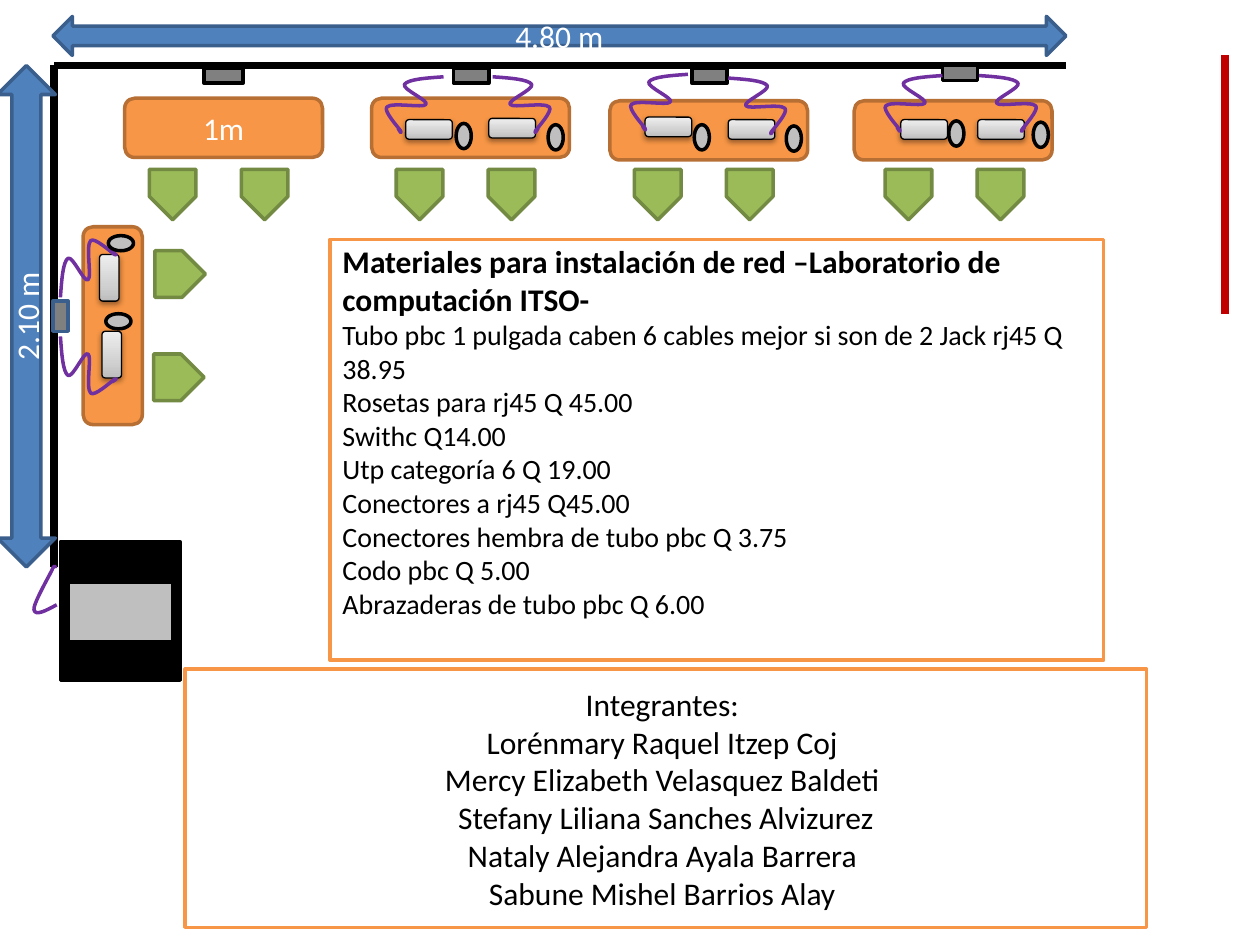
import copy
from dataclasses import dataclass

import lxml.etree
import pptx
import pptx.dml.color
import pptx.enum.shapes
import pptx.enum.text
import pptx.oxml
import pptx.oxml.ns
import pptx.util

Inches = pptx.util.Inches
Pt = pptx.util.Pt
SHAPES = pptx.enum.shapes.MSO_SHAPE
ALIGN = pptx.enum.text.PP_ALIGN
qn = pptx.oxml.ns.qn

COLORS = {
    "black": "000000", "white": "FFFFFF", "red": "C00000",
    "gray": "808080", "silver": "BFBFBF", "purple": "7030A0",
    "orange": "F79646", "brown": "B76F34", "green": "9BBB59",
    "olive": "738A42", "blue": "4F81BD", "navy": "3A5F8C",
}
KEYBOARD_STOPS = [(0, "BDBDBD"), (0.35, "D1D1D1"), (1, "EEEEEE")]
FONT = "Calibri"
DESK_LENGTH, DESK_DEPTH = 1.57, 0.47
CABLE = [
    (0, 0), (0.14, 0.01), (0.28, 0.02), (0.31, 0.06),
    (0.33, 0.1), (0.11, 0.19), (0.14, 0.22),
    (0.16, 0.25), (0.41, 0.2), (0.45, 0.24),
    (0.48, 0.27), (0.36, 0.4), (0.34, 0.43),
    (0.33, 0.46), (0.35, 0.43), (0.36, 0.41),
]
CABINET_CABLE = [
    (-0.03, 0.5), (-0.12, 0.55), (-0.2, 0.59), (-0.21, 0.54),
    (-0.22, 0.5), (-0.1, 0.29), (-0.07, 0.23),
    (-0.05, 0.18), (-0.04, 0.19), (-0.04, 0.21),
]


@dataclass
class Station:
    left: float
    top: float
    outlet: tuple
    chairs: tuple
    keyboards: tuple = ()
    mice: tuple = ()
    cables: tuple = ()
    label: str = ""


STATIONS = [
    Station(0.99, 0.78, (0.63, -0.24, 0.31), ((0.18, 0.58), (0.91, 0.58)), label="1m"),
    Station(2.95, 0.78, (0.65, -0.24, 0.28), ((0.18, 0.58), (0.91, 0.58)),
            ((0.27, 0.17), (0.93, 0.16)), ((0.67, 0.2), (1.4, 0.21)),
            ((0.57, -0.17), (0.96, -0.17))),
    Station(4.84, 0.8, (0.65, -0.26, 0.28), ((0.18, 0.56), (0.91, 0.56)),
            ((0.28, 0.13), (0.94, 0.15)), ((0.67, 0.19), (1.4, 0.2)),
            ((0.62, -0.21), (0.94, -0.18))),
    Station(6.78, 0.8, (0.7, -0.28, 0.28), ((0.23, 0.56), (0.96, 0.56)),
            ((0.37, 0.15), (0.98, 0.15)), ((0.75, 0.16), (1.42, 0.17)),
            ((0.7, -0.2), (0.99, -0.2))),
]
SIDE_STATION = Station(
    0.66, 1.8, (-0.24, 0.59, 0.12), ((0.57, 0.19), (0.56, 1.01)),
    ((0.13, 0.22), (0.15, 0.83)), ((0.24, 0.03), (0.22, 0.65)),
    ((-0.18, 0.56), (-0.18, 0.87)))

MATERIALS = [
    "Materiales para instalación de red –Laboratorio de computación ITSO-",
    "Tubo pbc 1 pulgada caben 6 cables mejor si son de 2 Jack rj45 Q 38.95",
    "Rosetas para rj45 Q 45.00",
    "Swithc Q14.00",
    "Utp categoría 6 Q 19.00",
    "Conectores a rj45 Q45.00",
    "Conectores hembra de tubo pbc Q 3.75",
    "Codo pbc Q 5.00",
    "Abrazaderas de tubo pbc Q 6.00",
]
MEMBERS = [
    "Integrantes: ",
    "Lorénmary Raquel Itzep Coj ",
    "Mercy Elizabeth Velasquez Baldeti ",
    "Stefany Liliana Sanches Alvizurez",
    "Nataly Alejandra Ayala Barrera ",
    "Sabune Mishel Barrios Alay ",
]


def rgb(name):
    return pptx.dml.color.RGBColor.from_string(COLORS.get(name, name))


def add_box(slide, kind, left, top, width, height, fill, line, weight=2, rotation=0):
    shape = slide.shapes.add_shape(
        kind, Inches(left), Inches(top), Inches(width), Inches(height))
    shape.rotation = rotation
    shape.shadow.inherit = False
    shape.fill.solid()
    shape.fill.fore_color.rgb = rgb(fill)
    shape.line.color.rgb = rgb(line)
    shape.line.width = Pt(weight)
    return shape


def write_lines(shape, lines, color, alignment=ALIGN.CENTER, sizes=(18, 18), bold_first=False):
    frame = shape.text_frame
    frame.word_wrap = True
    frame.vertical_anchor = pptx.enum.text.MSO_ANCHOR.MIDDLE
    for index, text in enumerate(lines):
        paragraph = frame.add_paragraph() if index else frame.paragraphs[0]
        paragraph.alignment = alignment
        run = paragraph.add_run()
        run.text = text
        run.font.name = FONT
        run.font.size = Pt(sizes[min(index, 1)])
        run.font.bold = bold_first and index == 0
        run.font.color.rgb = rgb(color)


def add_wall(slide, start, end, color):
    wall = slide.shapes.add_connector(
        pptx.enum.shapes.MSO_CONNECTOR.STRAIGHT, *map(Inches, start + end))
    wall.line.color.rgb = rgb(color)
    wall.line.width = Pt(4.5)
    lxml.etree.SubElement(wall._element.spPr, qn("a:effectLst"))


def add_cable(slide, points):
    points = [(Inches(x), Inches(y)) for x, y in points]
    builder = slide.shapes.build_freeform(*points[0])
    builder.add_line_segments(points[1:], close=False)
    cable = builder.convert_to_shape()
    segments = list(cable._element.iter(qn("a:lnTo")))
    for first in range(0, len(segments), 3):
        group = segments[first:first + 3]
        group[0].addprevious(curve := pptx.oxml.parse_xml(
            '<a:cubicBezTo xmlns:a="http://schemas.openxmlformats.org/drawingml/2006/main"/>'))
        for segment in group:
            curve.append(segment[0])
            segment.getparent().remove(segment)
    cable.shadow.inherit = False
    cable.fill.background()
    cable.line.color.rgb = rgb("purple")
    cable.line.width = Pt(2)


def add_keyboard(slide, left, top, width, height):
    keyboard = add_box(slide, SHAPES.ROUNDED_RECTANGLE, left, top, width, height,
                       "silver", "black", 0.75)
    keyboard.fill.gradient()
    keyboard.fill.gradient_angle = 90
    stop_list = keyboard._element.spPr.find(".//" + qn("a:gsLst"))
    stop_list.append(copy.deepcopy(stop_list[0]))
    for stop, (position, color) in zip(keyboard.fill.gradient_stops, KEYBOARD_STOPS):
        stop.position = position
        stop.color.rgb = rgb(color)
    shadow = lxml.etree.SubElement(
        keyboard._element.spPr.find(qn("a:effectLst")), qn("a:outerShdw"),
        blurRad=str(Pt(3.1)), dist=str(Pt(1.6)), dir="5400000", rotWithShape="0")
    color = lxml.etree.SubElement(shadow, qn("a:srgbClr"), val=COLORS["black"])
    lxml.etree.SubElement(color, qn("a:alpha"), val="38000")


def add_station(slide, station, upright=False):
    def place(offset):
        return station.left + offset[0], station.top + offset[1]

    def turn(width, height):
        return (height, width) if upright else (width, height)

    outlet_x, outlet_y, outlet_width = station.outlet
    add_box(slide, SHAPES.RECTANGLE, *place((outlet_x, outlet_y)), outlet_width,
            0.24 if upright else 0.12, "gray", "navy" if upright else "black")
    desk = add_box(slide, SHAPES.ROUNDED_RECTANGLE, station.left, station.top,
                   *turn(DESK_LENGTH, DESK_DEPTH), "orange", "brown")
    if station.label:
        write_lines(desk, [station.label], "white")
    for chair in station.chairs:
        add_box(slide, SHAPES.PENTAGON, *place(chair), 0.4, 0.37, "green", "olive",
                rotation=0 if upright else 90)
    for keyboard in station.keyboards:
        add_keyboard(slide, *place(keyboard), *turn(0.37, 0.155))
    for cable, side in zip(station.cables, (-1, 1)):
        x, y = place(cable)
        add_cable(slide, [(x + down, y + side * along) if upright
                          else (x + side * along, y + down) for along, down in CABLE])
    for mouse in station.mice:
        add_box(slide, SHAPES.OVAL, *place(mouse), 0.12, 0.2, "silver", "black",
                rotation=270 if upright else 0)


def add_dimension(slide, left, top, width, height, label, rotation=0):
    arrow = add_box(slide, SHAPES.LEFT_RIGHT_ARROW, left, top, width, height,
                    "blue", "navy", rotation=rotation)
    write_lines(arrow, [label], "white")


def add_cabinet(slide, left, top, width, height):
    add_box(slide, SHAPES.RECTANGLE, left, top, width, height, "black", "black")
    add_box(slide, SHAPES.RECTANGLE, left + 0.06, top + 0.32, width - 0.12, 0.47,
            "silver", "black")
    add_cable(slide, [(left + x, top + y) for x, y in CABINET_CABLE])


def add_materials(slide, left, top, width, height):
    panel = add_box(slide, SHAPES.RECTANGLE, left, top, width, height, "white", "orange")
    write_lines(panel, MATERIALS, "black", ALIGN.LEFT, (18, 16), True)
    panel.text_frame.margin_bottom = Inches(0.35)


def add_members(slide, left, top, width, height):
    panel = add_box(slide, SHAPES.RECTANGLE, left, top, width, height, "white", "orange")
    write_lines(panel, MEMBERS, "black")


def main():
    presentation = pptx.Presentation()
    presentation.slide_width, presentation.slide_height = Inches(10), Inches(7.5)
    slide = presentation.slides.add_slide(presentation.slide_layouts[6])
    add_wall(slide, (0.43, 4.5), (0.43, 0.52), "black")
    add_wall(slide, (8.46, 0.52), (0.43, 0.52), "black")
    add_wall(slide, (9.72, 2.49), (9.72, 0.44), "red")
    for station in STATIONS:
        add_station(slide, station)
    add_station(slide, SIDE_STATION, upright=True)
    add_dimension(slide, 0.42, 0.13, 8.04, 0.31, "4.80 m")
    add_dimension(slide, -1.78, 2.28, 3.98, 0.46, "2.10 m", 270)
    add_cabinet(slide, 0.48, 4.3, 0.95, 1.1)
    add_materials(slide, 2.62, 1.9, 6.14, 3.34)
    add_members(slide, 1.47, 5.31, 7.63, 2.05)
    presentation.save("out.pptx")


if __name__ == "__main__":
    main()
